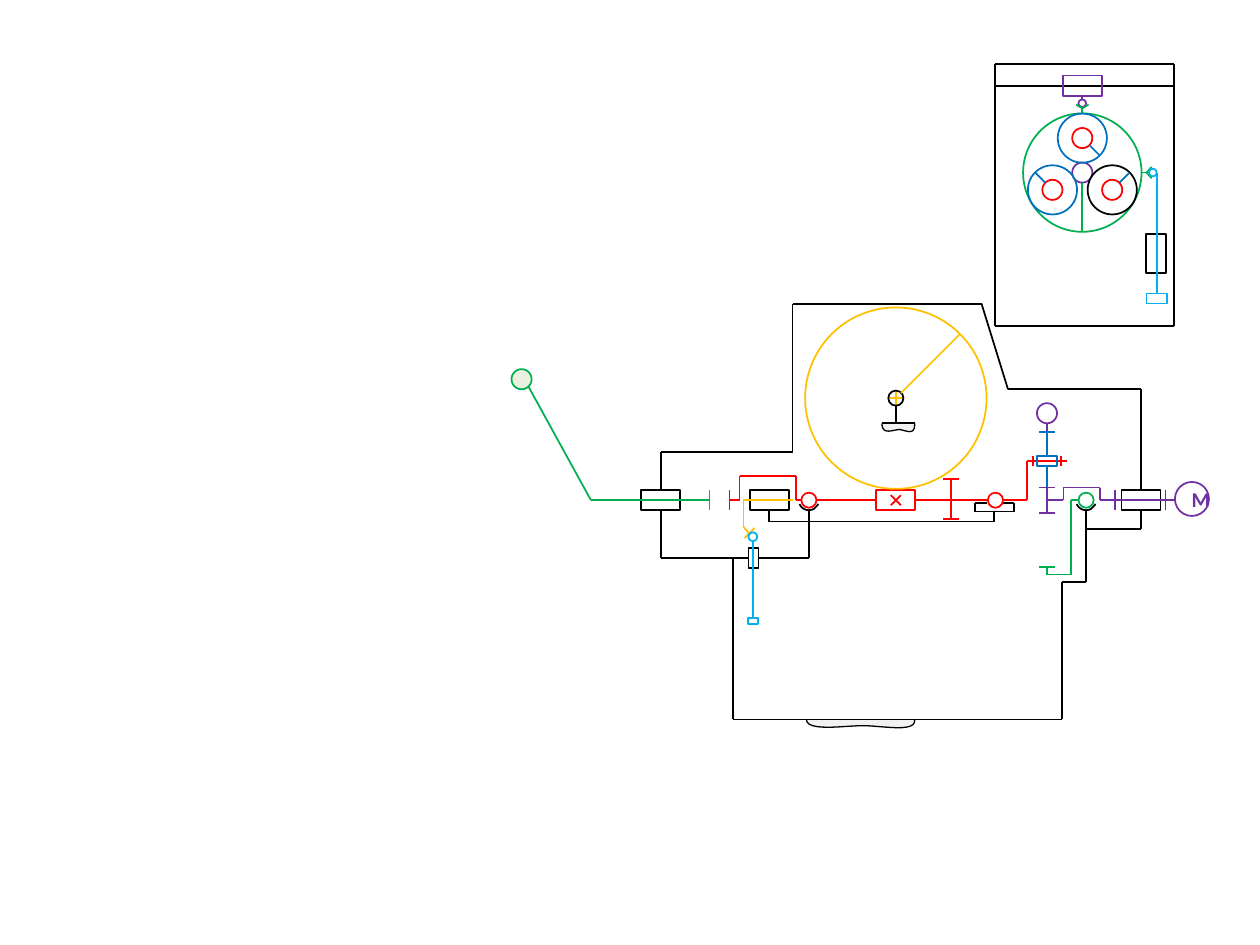
from math import cos, radians, sin

from lxml import etree
from pptx import Presentation
from pptx import util as u
from pptx.dml.color import RGBColor
from pptx.enum import shapes, text
from pptx.oxml.ns import qn

BLACK = RGBColor(0x00, 0x00, 0x00)
RED = RGBColor(0xFF, 0x00, 0x00)
GREEN = RGBColor(0x00, 0xB0, 0x50)
BLUE = RGBColor(0x00, 0x70, 0xC0)
SKY = RGBColor(0x00, 0xB0, 0xF0)
PURPLE = RGBColor(0x70, 0x30, 0xA0)
AMBER = RGBColor(0xFF, 0xC0, 0x00)
PALE_GREEN = RGBColor(0xEB, 0xF1, 0xDE)
PALE_GREY = RGBColor(0xF2, 0xF2, 0xF2)

COLUMNS, ROWS = 100, 75
TOP, LEFT, BOTTOM, RIGHT = range(4)
LABEL = {"name": "Calibri", "size": u.Pt(12), "bold": True}
GROUND_X = (0, 0, 0.35, 0.52, 0.7, 1.02, 1)
GROUND_Y = (0, 1, 0.5, 0.5, 0.5, 1.1, 0)


def bezier(a, b, c, d, t):
    s = 1 - t
    return s**3 * a + 3 * s * s * t * b + 3 * s * t * t * c + t**3 * d


class Diagram:
    def __init__(self, deck):
        self.slide = deck.slides.add_slide(deck.slide_layouts[6])
        self.column = deck.slide_width / COLUMNS
        self.row = deck.slide_height / ROWS
        self.weight = u.Pt(1)

    def place(self, x, y):
        return round(x * self.column), round(y * self.row)

    def style(self, part, color, fill=None, weight=None):
        part.shadow.inherit = False
        part.line.color.rgb = color
        part.line.width = weight or self.weight
        if fill is None:
            part.fill.background()
        else:
            part.fill.solid()
            part.fill.fore_color.rgb = fill
        return part

    def preset(self, kind, color, x, y, width, height, fill=None):
        corner = self.place(x - width / 2, y - height / 2)
        part = self.slide.shapes.add_shape(kind, *corner, *self.place(width, height))
        return self.style(part, color, fill)

    def box(self, color, x, y, width=3.1, height=1.6):
        return self.preset(shapes.MSO_SHAPE.RECTANGLE, color, x, y, width, height)

    def circle(self, color, x, y, size, fill=None):
        return self.preset(shapes.MSO_SHAPE.OVAL, color, x, y, size, size, fill)

    def cradle(self, x, y):
        arc = self.preset(shapes.MSO_SHAPE.ARC, BLACK, x, y, 1.6, 1.6)
        for index, angle in enumerate((12.94, 94.25)):
            arc.adjustments[index] = angle

    def wire(self, color, *points, start=None, finish=None):
        last = len(points) - 2
        for index, (begin, end) in enumerate(zip(points, points[1:])):
            link = self.slide.shapes.add_connector(
                shapes.MSO_CONNECTOR.STRAIGHT, *self.place(*begin), *self.place(*end))
            if start and index == 0:
                link.begin_connect(*start)
            if finish and index == last:
                link.end_connect(*finish)
            link.line.color.rgb = color
            link.line.width = self.weight
            etree.SubElement(link._element.spPr, qn("a:effectLst"))

    def upright(self, color, x, y=39.7, half=0.8):
        self.wire(color, (x, y - half), (x, y + half))

    def bar(self, color, x, y, half=0.65):
        self.wire(color, (x - half, y), (x + half, y))

    def ground(self, x, y, width):
        xs = [x + width * share for share in GROUND_X]
        ys = [y + depth for depth in GROUND_Y]
        points = [self.place(bezier(*xs[k:k + 4], step / 12), bezier(*ys[k:k + 4], step / 12))
                  for k in (0, 3) for step in range(1, 13)]
        outline = self.slide.shapes.build_freeform(*self.place(x, y))
        outline.add_line_segments(points, close=False)
        self.style(outline.convert_to_shape(), BLACK, PALE_GREY, u.Pt(0.75))

    def label(self, part, words, color):
        part.text_frame.vertical_anchor = text.MSO_ANCHOR.MIDDLE
        paragraph = part.text_frame.paragraphs[0]
        paragraph.alignment = text.PP_ALIGN.CENTER
        run = paragraph.add_run()
        run.text = words
        for name, value in LABEL.items():
            setattr(run.font, name, value)
        run.font.color.rgb = color


def draw_housing(d):
    d.ground(70, 33.6, 2.6)
    d.ground(64, 57.1, 8.6)
    handle_bearing = d.box(BLACK, 52.45, 39.7)
    motor_bearing = d.box(BLACK, 90.55, 39.7)
    lever_bearing = d.box(BLACK, 59.8, 44.3, 0.8, 1.6)
    shaft_bearing = d.box(BLACK, 61.05, 39.7)
    d.wire(BLACK, (52.45, 40.5), (52.45, 44.3), (59.4, 44.3),
           start=(handle_bearing, BOTTOM), finish=(lever_bearing, LEFT))
    d.wire(BLACK, (60.2, 44.3), (64.2, 44.3), (64.2, 40.5), start=(lever_bearing, RIGHT))
    d.wire(BLACK, (52.45, 38.9), (52.45, 35.9), (62.9, 35.9), (62.9, 24.1), (77.9, 24.1),
           (80, 30.9), (90.55, 30.9), (90.55, 38.9),
           start=(handle_bearing, TOP), finish=(motor_bearing, TOP))
    d.wire(BLACK, (90.55, 40.5), (90.55, 42), (86.2, 42), start=(motor_bearing, BOTTOM))
    d.wire(BLACK, (86.2, 40.5), (86.2, 46.2), (84.3, 46.2), (84.3, 57.1),
           (58.2, 57.1), (58.2, 44.3))
    d.wire(BLACK, (61.05, 40.5), (61.05, 41.4), (78.9, 41.4), (78.9, 40.6),
           start=(shaft_bearing, BOTTOM))
    d.wire(BLACK, (78.3, 39.9), (77.4, 39.9), (77.4, 40.6), (80.5, 40.6),
           (80.5, 39.9), (79.5, 39.9))
    for x in (64.2, 86.2):
        d.cradle(x, 39.7)


def draw_handle(d):
    d.wire(GREEN, (41.9, 30.6), (46.9, 39.7), (56.3, 39.7))
    d.circle(GREEN, 41.4, 30.1, 1.6, PALE_GREEN)
    d.upright(GREEN, 56.3)


def draw_worm_shaft(d):
    d.upright(RED, 57.9)
    d.wire(RED, (57.9, 39.7), (58.7, 39.7), (58.7, 37.8), (63.2, 37.8), (63.2, 39.7), (63.6, 39.7))
    for x in (64.2, 79):
        d.circle(RED, x, 39.7, 1.2)
    worm = d.box(RED, 71.1, 39.7)
    d.wire(RED, (64.8, 39.7), (69.55, 39.7), finish=(worm, LEFT))
    d.wire(RED, (72.65, 39.7), (78.4, 39.7), start=(worm, RIGHT))
    for rise in (-0.4, 0.4):
        d.wire(RED, (70.7, 39.7 - rise), (71.5, 39.7 + rise))
    d.upright(RED, 75.5, 39.6, 1.6)
    for y in (38, 41.2):
        d.bar(RED, 75.5, y)
    d.wire(RED, (79.6, 39.7), (81.5, 39.7), (81.5, 36.6), (84.7, 36.6))
    for x in (82, 84.2):
        d.upright(RED, x, 36.6, 0.4)


def draw_worm_wheel(d):
    d.circle(AMBER, 71.1, 31.6, 14.4)
    d.upright(AMBER, 71.1, 31.6, 0.55)
    d.bar(AMBER, 71.1, 31.6, 0.55)
    d.circle(BLACK, 71.1, 31.6, 1.2)
    d.wire(AMBER, (76.2, 26.5), (71.5, 31.2))
    d.wire(BLACK, (71.1, 32.2), (71.1, 33.6))
    d.bar(BLACK, 71.3, 33.6, 1.3)


def draw_clutch_lever(d):
    d.wire(AMBER, (62.9, 39.7), (59, 39.7), (59, 41.8), (59.5, 42.4))
    d.wire(AMBER, (59.9, 41.9), (59.1, 42.7))
    d.circle(SKY, 59.75, 42.6, 0.7)
    pad = d.box(SKY, 59.75, 49.3, 0.8, 0.5)
    d.wire(SKY, (59.75, 42.9), (59.75, 49.05), finish=(pad, TOP))


def draw_planet_drive(d):
    planet = d.box(BLUE, 83.1, 36.6, 1.6, 0.8)
    d.circle(PURPLE, 83.1, 32.8, 1.6)
    d.wire(PURPLE, (83.1, 33.6), (83.1, 34.3))
    d.bar(BLUE, 83.1, 34.3)
    d.wire(BLUE, (83.1, 34.3), (83.1, 36.2), finish=(planet, TOP))
    d.wire(BLUE, (83.1, 37), (83.1, 38.7), start=(planet, BOTTOM))
    d.upright(PURPLE, 83.1, 39.7, 1)
    for y in (38.7, 40.7):
        d.bar(PURPLE, 83.1, y)
    d.wire(PURPLE, (83.1, 39.7), (84.4, 39.7), (84.4, 38.7), (87.3, 38.7),
           (87.3, 39.7), (93.3, 39.7))
    for x in (88.5, 92.5):
        d.upright(PURPLE, x)
    d.label(d.circle(PURPLE, 94.6, 39.6, 2.7), "M", PURPLE)
    d.circle(GREEN, 86.2, 39.7, 1.2)
    d.wire(GREEN, (85.6, 39.7), (85, 39.7), (85, 45.6), (83.1, 45.6), (83.1, 45))
    d.bar(GREEN, 83.1, 45)


def draw_end_view(d):
    x, y = 85.9, 13.7
    d.wire(BLACK, (78.95, 25.9), (78.95, 5.1), (93.2, 5.1), (93.2, 25.9), (78.95, 25.9))
    d.wire(BLACK, (78.95, 6.8), (93.2, 6.8))
    d.circle(GREEN, x, y, 9.4)
    d.circle(PURPLE, x, y, 1.6)
    for angle, across, down, color in ((90, 1, 1, BLUE), (210, -1, -1, BLUE), (330, 1, -1, BLACK)):
        hub_x, hub_y = x + 2.74 * cos(radians(angle)), y - 2.74 * sin(radians(angle))
        d.circle(color, hub_x, hub_y, 3.9)
        d.circle(RED, hub_x, hub_y, 1.6)
        d.wire(BLUE, *((hub_x + across * reach, hub_y + down * reach) for reach in (0.57, 1.37)))
    d.wire(GREEN, (x, 18.4), (x, 14.5))

    motor_latch = d.box(PURPLE, x, 6.8)
    d.wire(PURPLE, (x, 7.6), (x, 7.9), start=(motor_latch, BOTTOM))
    d.circle(PURPLE, x, 8.2, 0.6)
    d.wire(GREEN, (x, 9), (x, 8.6))
    d.wire(GREEN, (x - 0.5, 8.3), (x, 8.6), (x + 0.5, 8.3))

    d.wire(GREEN, (90.6, y), (91, y))
    d.wire(GREEN, (91.4, y - 0.45), (91, y), (91.4, y + 0.45))
    d.circle(SKY, 91.5, y, 0.6)
    d.box(BLACK, 91.75, 20.1, 1.6, 3.1)
    pad = d.box(SKY, 91.8, 23.7, 1.6, 0.8)
    d.wire(SKY, (91.8, y), (91.8, 23.3), finish=(pad, TOP))


def main():
    deck = Presentation()
    deck.slide_width, deck.slide_height = u.Inches(10), u.Inches(7.5)
    diagram = Diagram(deck)
    for draw in (draw_housing, draw_handle, draw_worm_shaft, draw_worm_wheel,
                 draw_clutch_lever, draw_planet_drive, draw_end_view):
        draw(diagram)
    deck.save("out.pptx")


if __name__ == "__main__":
    main()
